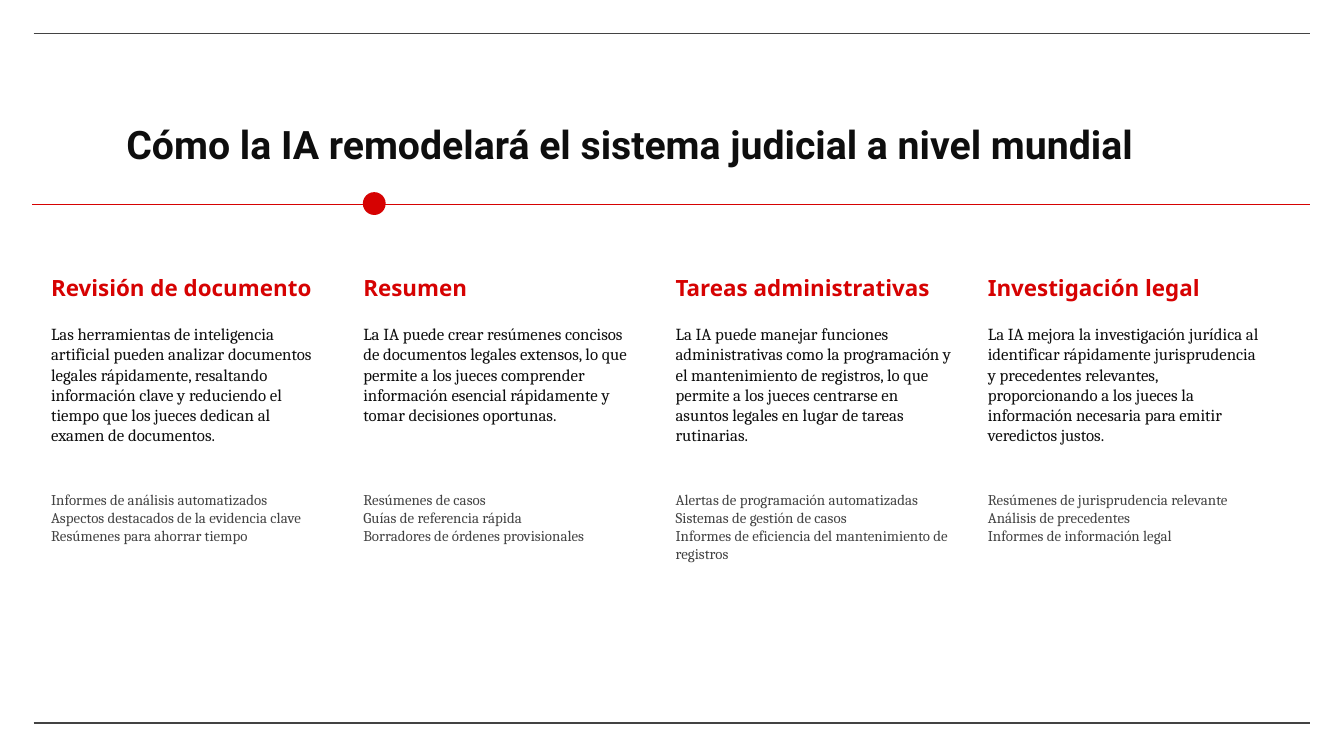
from lxml import etree
from pptx import Presentation
from pptx.dml.color import RGBColor
from pptx.enum.shapes import MSO_CONNECTOR, MSO_SHAPE
from pptx.enum.text import MSO_ANCHOR, MSO_AUTO_SIZE, PP_ALIGN
from pptx.oxml.ns import qn
from pptx.util import Inches, Pt

STRAIGHT = MSO_CONNECTOR.STRAIGHT
OVAL = MSO_SHAPE.OVAL
TOP, MIDDLE, BOTTOM = MSO_ANCHOR.TOP, MSO_ANCHOR.MIDDLE, MSO_ANCHOR.BOTTOM
NO_AUTOFIT = MSO_AUTO_SIZE.NONE
LEFT = PP_ALIGN.LEFT

RED, BLACK, GRAY = "D60202", "0E0E0E", "434343"


def color(hex_string):
    return RGBColor.from_string(hex_string)


def write_text(shape, lines, font, size, hex_string, bold, anchor, margins):
    frame = shape.text_frame
    frame.word_wrap = True
    frame.auto_size = NO_AUTOFIT
    frame.vertical_anchor = anchor
    (frame.margin_left, frame.margin_top,
     frame.margin_right, frame.margin_bottom) = [Inches(m) for m in margins]
    frame.text = "\n".join(lines)
    for paragraph in frame.paragraphs:
        paragraph.alignment = LEFT
        paragraph.font.name = font
        paragraph.font.size = Pt(size)
        paragraph.font.bold = bold
        paragraph.font.color.rgb = color(hex_string)


# Widescreen slide, 16:9
presentation = Presentation()
presentation.slide_width = Inches(10)
presentation.slide_height = Inches(10) * 9 // 16
slide = presentation.slides.add_slide(presentation.slide_layouts[5])

# Horizontal rules: top, bottom and the red timeline
for left, y, line_color in [(0.25, 0.25, GRAY), (0.25, 5.38, GRAY), (0.24, 1.52, RED)]:
    rule = slide.shapes.add_connector(
        STRAIGHT, Inches(left), Inches(y), Inches(9.75), Inches(y))
    rule.line.color.rgb = color(line_color)
    rule.line.width = Pt(0.75)
    etree.SubElement(rule._element.spPr, qn("a:effectLst"))

# Title
title = slide.shapes.title
title.left, title.top = Inches(0.94), Inches(0.79)
title.width, title.height = Inches(9.11), Inches(0.63)
write_text(title, ["Cómo la IA remodelará el sistema judicial a nivel mundial"],
           "Roboto", 21, BLACK, True, MIDDLE, (0, 0.1, 0, 0.1))
title.text_frame.paragraphs[0].line_spacing = 0.75

# Four columns: heading, description, examples
columns = [
    ("Revisión de documento",
     "Las herramientas de inteligencia artificial pueden analizar documentos "
     "legales rápidamente, resaltando información clave y reduciendo el tiempo "
     "que los jueces dedican al examen de documentos.",
     ["Informes de análisis automatizados",
      "Aspectos destacados de la evidencia clave",
      "Resúmenes para ahorrar tiempo"]),
    ("Resumen",
     "La IA puede crear resúmenes concisos de documentos legales extensos, lo que "
     "permite a los jueces comprender información esencial rápidamente y tomar "
     "decisiones oportunas.",
     ["Resúmenes de casos",
      "Guías de referencia rápida",
      "Borradores de órdenes provisionales"]),
    ("Tareas administrativas",
     "La IA puede manejar funciones administrativas como la programación y el "
     "mantenimiento de registros, lo que permite a los jueces centrarse en asuntos "
     "legales en lugar de tareas rutinarias.",
     ["Alertas de programación automatizadas",
      "Sistemas de gestión de casos",
      "Informes de eficiencia del mantenimiento de registros"]),
    ("Investigación legal",
     "La IA mejora la investigación jurídica al identificar rápidamente "
     "jurisprudencia y precedentes relevantes, proporcionando a los jueces la "
     "información necesaria para emitir veredictos justos.",
     ["Resúmenes de jurisprudencia relevante",
      "Análisis de precedentes",
      "Informes de información legal"]),
]
first_left, last_left = Inches(0.38), Inches(7.35)
column_step = (last_left - first_left) // (len(columns) - 1)
heading_margins = (0, 0, 0.1, 0)
body_margins = (0, 0.1, 0.1, 0.1)

for index, (heading, description, examples) in enumerate(columns):
    left = first_left + index * column_step
    rows = [
        (1.51, 0.73, [heading], "Noto Sans", 12, RED, True, BOTTOM, heading_margins),
        (2.31, 1.24, [description], "Cambria", 9, BLACK, False, TOP, body_margins),
        (3.55, 1.24, examples, "Cambria", 8, GRAY, False, TOP, body_margins),
    ]
    for top, height, lines, *style in rows:
        box = slide.shapes.add_textbox(left, Inches(top), Inches(2.15), Inches(height))
        write_text(box, lines, *style)

# Timeline marker
marker = slide.shapes.add_shape(
    OVAL, Inches(2.7), Inches(1.43), Inches(0.17), Inches(0.17))
marker.shadow.inherit = False
marker.fill.solid()
marker.fill.fore_color.rgb = color(RED)
marker.line.fill.background()

presentation.save("out.pptx")
